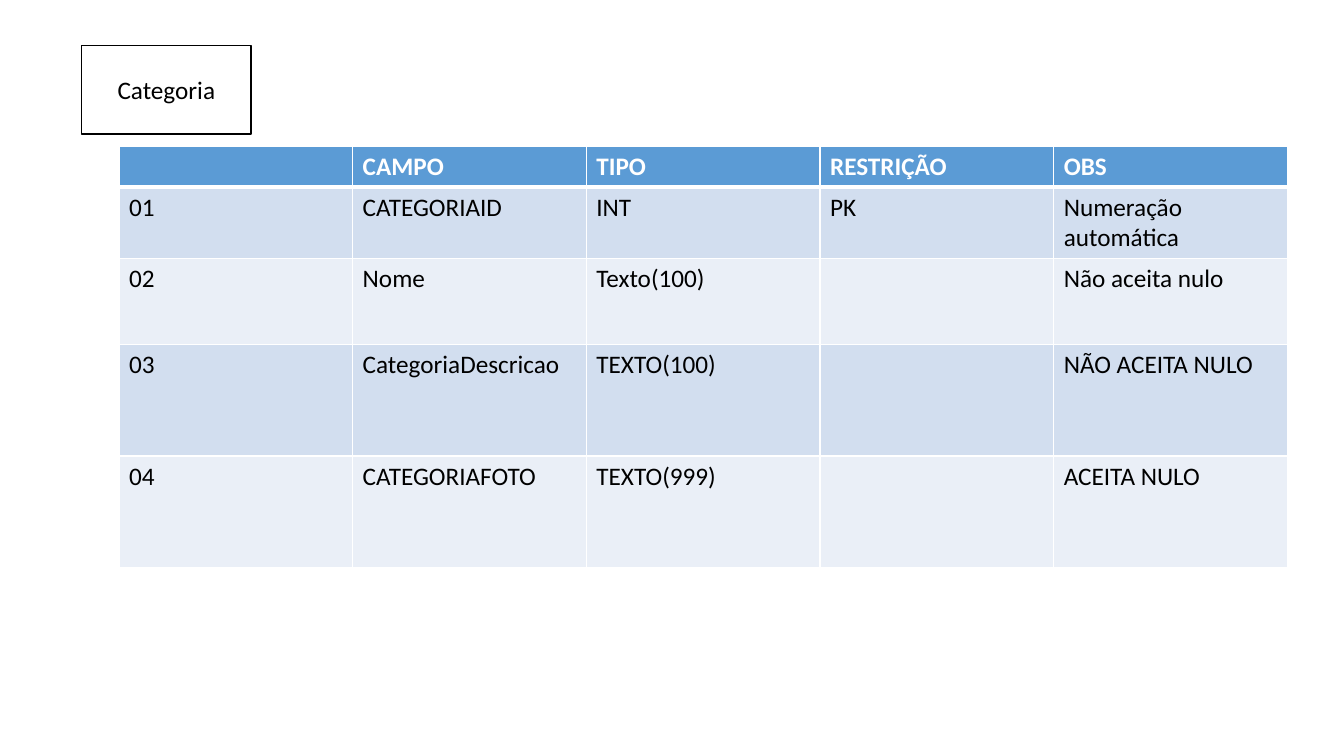
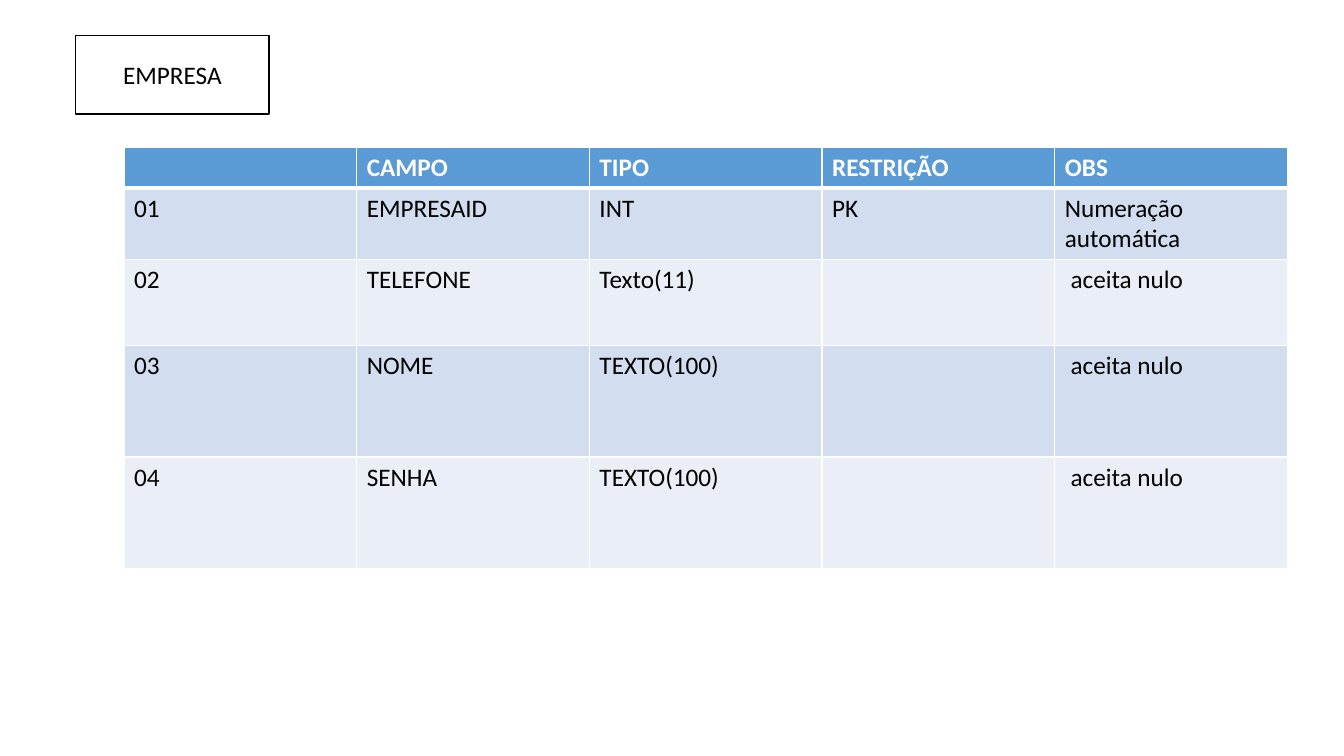
from pptx import Presentation
from pptx.dml.color import RGBColor
from pptx.enum.shapes import MSO_SHAPE as Shape
from pptx.enum.text import MSO_ANCHOR as Anchor, PP_ALIGN as Align
from pptx.oxml import parse_xml
from pptx.oxml.ns import nsdecls
from pptx.util import Inches, Pt

GRID_COLUMNS, GRID_ROWS = 160, 90
TABLE_RIGHT = 153.24
ROW_HEIGHTS = [4.8, 8.4, 10.2, 13.3, 13.3]
HEADINGS = ["", "CAMPO", "TIPO", "RESTRIÇÃO", "OBS"]
BLACK, WHITE, BLUE = "000000", "FFFFFF", "5B9BD5"
BANDS = ["EAEFF7", "D2DEEF"]

ENTITIES = [
    {
        "name": "Categoria",
        "box": (9.72, 5.4, 20.16, 10.56),
        "table": (14.16, 17.4),
        "fields": [
            ("CATEGORIAID", "INT", "PK", "Numeração automática"),
            ("Nome\u00a0", "Texto(100)", "", "Não aceita nulo"),
            ("CategoriaDescricao\u00a0", "TEXTO(100)", "", "NÃO ACEITA NULO"),
            ("CATEGORIAFOTO", "TEXTO(999)", "", "ACEITA NULO"),
        ],
    },
    {
        "name": "EMPRESA",
        "box": (9, 4.2, 23.04, 9.36),
        "table": (14.76, 17.52),
        "fields": [
            ("EMPRESAID", "INT", "PK", "Numeração automática"),
            ("TELEFONE", "Texto(11)", "", " aceita nulo"),
            ("NOME\u00a0", "TEXTO(100)", "", " aceita nulo"),
            ("SENHA", "TEXTO(100)", "", " aceita nulo"),
        ],
    },
]

presentation = Presentation()
presentation.slide_width, presentation.slide_height = Inches(13.33), Inches(7.5)
unit = presentation.slide_height / GRID_ROWS


def color(value):
    return RGBColor.from_string(value)


def write(paragraph, text, text_color, bold=False):
    run = paragraph.add_run()
    run.text = text
    run.font.color.rgb = color(text_color)
    for name, value in {"name": "Calibri", "size": Pt(18), "bold": bold}.items():
        setattr(run.font, name, value)


for entity in ENTITIES:
    slide = presentation.slides.add_slide(presentation.slide_layouts[6])

    left, top = entity["table"]
    width = TABLE_RIGHT - left
    rows = [HEADINGS] + [
        (f"{number:02}", *field) for number, field in enumerate(entity["fields"], 1)
    ]
    frame = [round(length * unit) for length in (left, top, width, sum(ROW_HEIGHTS))]
    table = slide.shapes.add_table(len(rows), len(HEADINGS), *frame).table
    for column in table.columns:
        column.width = round(width * unit / len(HEADINGS))

    for row_index, texts in enumerate(rows):
        table.rows[row_index].height = round(ROW_HEIGHTS[row_index] * unit)
        header = row_index == 0
        borders = {
            "lnL": 1,
            "lnR": 1,
            "lnT": 3 if row_index == 1 else 1,
            "lnB": 3 if header else 1,
        }
        for column_index, text in enumerate(texts):
            cell = table.cell(row_index, column_index)
            properties = cell._tc.get_or_add_tcPr()
            for side, points in borders.items():
                properties.append(parse_xml(
                    f'<a:{side} {nsdecls("a")} w="{Pt(points)}"><a:solidFill>'
                    f'<a:srgbClr val="{WHITE}"/></a:solidFill></a:{side}>'
                ))
            cell.fill.solid()
            cell.fill.fore_color.rgb = color(BLUE if header else BANDS[row_index % 2])
            if text:
                write(cell.text_frame.paragraphs[0], text, WHITE if header else BLACK, header)

    box = [round(length * unit) for length in entity["box"]]
    shape = slide.shapes.add_shape(Shape.RECTANGLE, *box)
    shape.shadow.inherit = False
    shape.fill.solid()
    shape.fill.fore_color.rgb = color(WHITE)
    shape.line.color.rgb = color(BLACK)
    shape.line.width = Pt(1)
    shape.text_frame.vertical_anchor = Anchor.MIDDLE
    paragraph = shape.text_frame.paragraphs[0]
    paragraph.alignment = Align.CENTER
    write(paragraph, entity["name"], BLACK)

presentation.save("out.pptx")
